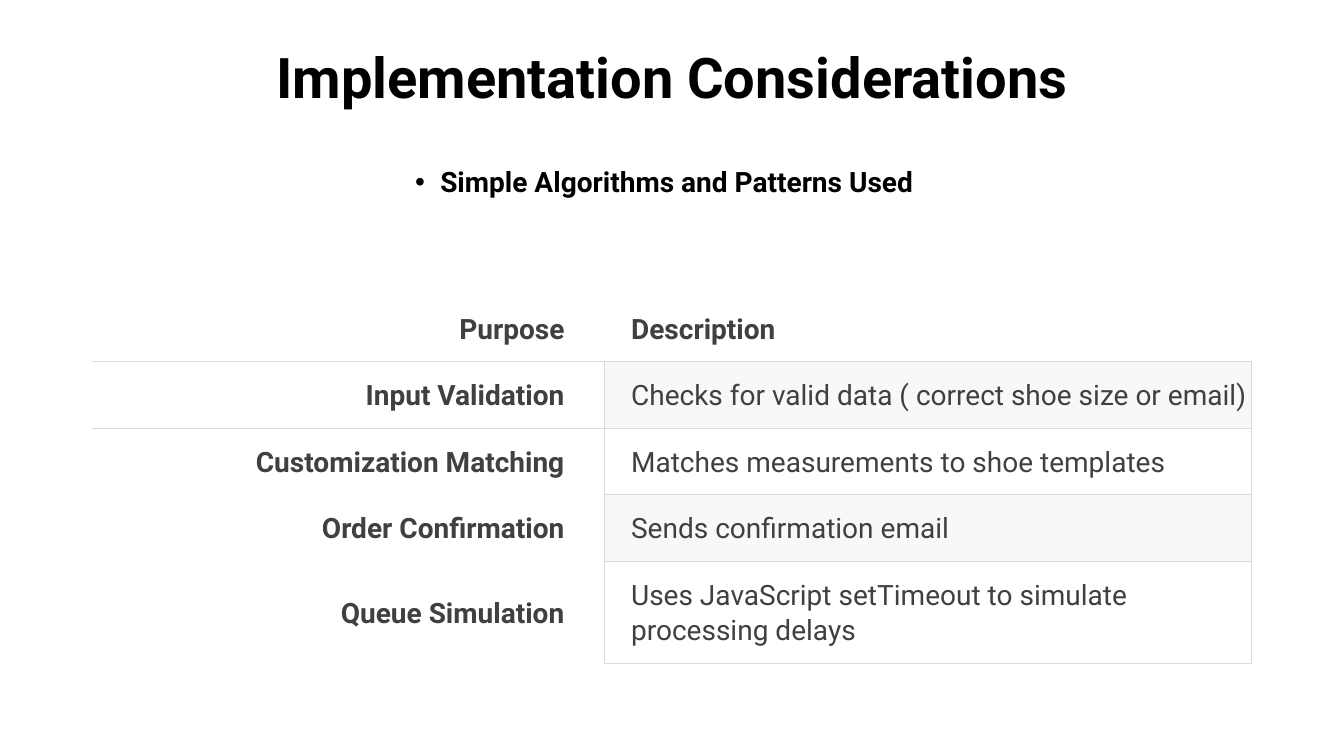
import pptx
import pptx.dml.color
import pptx.enum.text
import pptx.oxml
import pptx.oxml.ns
import pptx.util
from pptx.util import Inches

COLORS = {"page": "FFFFFF", "heading": "000000", "text": "404040",
          "border": "D8DCDC", "band": "D8DEDC"}
FONT = "Roboto"
NO_STYLE = "{2D5ABB26-0587-4C30-8999-92F81FD0307C}"
ALIGN = pptx.enum.text.PP_ALIGN
ANCHOR = pptx.enum.text.MSO_ANCHOR

ROWS = [
    ("Purpose", "Description"),
    ("Input Validation", "Checks for valid data ( correct shoe size or email)"),
    ("Customization Matching", "Matches measurements to shoe templates"),
    ("Order Confirmation", "Sends confirmation email"),
    ("Queue Simulation", "Uses JavaScript setTimeout to simulate processing delays"),
]
COLUMN_WIDTHS = (5.09, 6.41)
ROW_HEIGHTS = (0.66, 0.66, 0.66, 0.66, 1.01)


def rgb(name):
    return pptx.dml.color.RGBColor.from_string(COLORS[name])


def add_xml(parent, tag, **attributes):
    child = pptx.oxml.parse_xml(f'<a:{tag} {pptx.oxml.ns.nsdecls("a")}/>')
    for key, value in attributes.items():
        child.set(key, str(value))
    parent.append(child)
    return child


def style_text(para, size, color, bold, align, spacing):
    para.alignment = align
    para.line_spacing = spacing
    for span in para.runs:
        span.font.name = FONT
        span.font.size = pptx.util.Pt(size)
        span.font.bold = bold
        span.font.color.rgb = rgb(color)


def fill_placeholder(shape, text, box, size, anchor):
    shape.left, shape.top, shape.width, shape.height = map(Inches, box)
    frame = shape.text_frame
    frame.text = text
    frame.word_wrap = True
    frame.auto_size = pptx.enum.text.MSO_AUTO_SIZE.NONE
    frame.vertical_anchor = anchor
    para = frame.paragraphs[0]
    para.space_before = pptx.util.Pt(0)
    style_text(para, size, "heading", True, ALIGN.CENTER, 0.9)
    return para


def add_subheading(shape, box):
    para = fill_placeholder(shape, "Simple Algorithms and Patterns Used", box, 20, ANCHOR.TOP)
    shape.text_frame.margin_top = Inches(0.07)
    para.space_after = pptx.util.Pt(6)
    properties = para._p.get_or_add_pPr()
    properties.set("marL", "0")
    properties.set("indent", str(Inches(-0.25)))
    add_xml(properties, "buFont", typeface="Arial")
    add_xml(properties, "buChar", char="•")


def set_borders(cell, sides):
    properties = cell._tc.get_or_add_tcPr()
    for side in sides:
        line = add_xml(properties, f"ln{side}", w=pptx.util.Pt(0.75))
        add_xml(add_xml(line, "solidFill"), "srgbClr", val=COLORS["border"])


def fill_cell(cell, text, row, column):
    header, purpose = row == 0, column == 0
    cell.text = text
    cell.vertical_anchor = ANCHOR.MIDDLE
    cell.margin_left = Inches(0.26)
    cell.margin_right = Inches(0.4 if purpose else 0.01)
    cell.margin_top = cell.margin_bottom = Inches(0.13)
    para = cell.text_frame.paragraphs[0]
    para.space_before, para.space_after = pptx.util.Pt(18), pptx.util.Pt(4)
    style_text(para, 20, "text", header or purpose,
               ALIGN.RIGHT if purpose else ALIGN.LEFT, 1.07)
    if header:
        set_borders(cell, "B")
    elif purpose:
        set_borders(cell, "RT" if row == 1 else "R")
    else:
        set_borders(cell, "LRTB")
    if row % 2 and not purpose:
        cell.fill.solid()
        cell.fill.fore_color.rgb = rgb("band")
        color = cell._tc.tcPr.find(pptx.oxml.ns.qn("a:solidFill"))[0]
        add_xml(color, "alpha", val=20000)
    else:
        cell.fill.background()


def add_purpose_table(page, left, top):
    frame = page.shapes.add_table(len(ROWS), len(COLUMN_WIDTHS), Inches(left), Inches(top),
                                  Inches(sum(COLUMN_WIDTHS)), Inches(sum(ROW_HEIGHTS)))
    table = frame.table
    table.horz_banding = False
    table._tbl.tblPr.find(pptx.oxml.ns.qn("a:tableStyleId")).text = NO_STYLE
    for column, width in zip(table.columns, COLUMN_WIDTHS):
        column.width = Inches(width)
    for row, height in zip(table.rows, ROW_HEIGHTS):
        row.height = Inches(height)
    for row, texts in enumerate(ROWS):
        for column, text in enumerate(texts):
            fill_cell(table.cell(row, column), text, row, column)


def main():
    deck = pptx.Presentation()
    deck.slide_width, deck.slide_height = Inches(13.33), Inches(7.5)
    page = deck.slides.add_slide(deck.slide_layouts[1])
    page.background.fill.solid()
    page.background.fill.fore_color.rgb = rgb("page")
    fill_placeholder(page.shapes.title, "Implementation Considerations",
                     (1.1, 0.19, 11.13, 1.22), 40, ANCHOR.MIDDLE)
    add_subheading(page.placeholders[1], (1.1, 1.6, 11.13, 0.84))
    add_purpose_table(page, 0.91, 2.93)
    deck.save("out.pptx")


if __name__ == "__main__":
    main()
